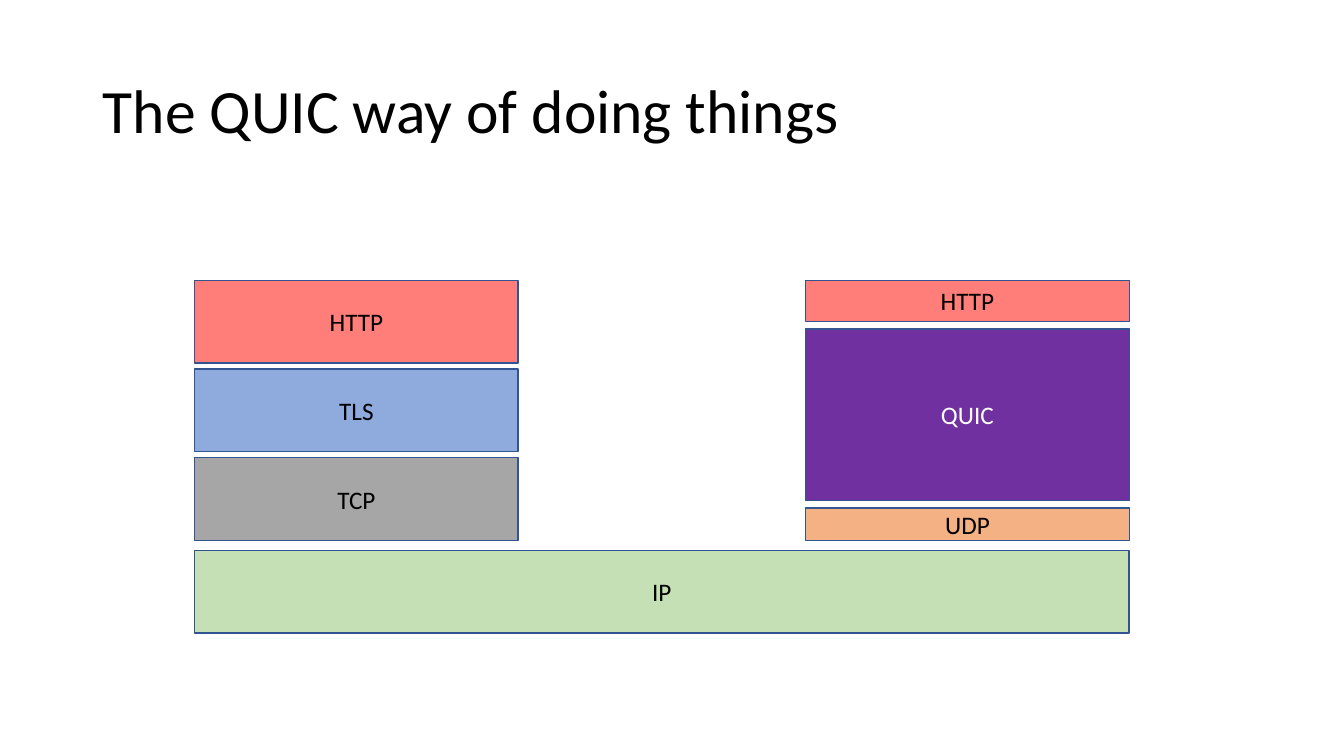
import dataclasses

import pptx
import pptx.dml.color
import pptx.enum.shapes
import pptx.enum.text
import pptx.util

TITLE = "The QUIC way of doing things"

# Each stack from top to bottom: label, height in inches
CLASSIC_STACK = [("HTTP", 0.82), ("TLS", 0.82), ("TCP", 0.82)]
QUIC_STACK = [("HTTP", 0.41), ("QUIC", 1.7), ("UDP", 0.32)]
BASE_LAYER = ("IP", 0.82)


@dataclasses.dataclass(frozen=True)
class Theme:
    font: str = "Calibri"
    title_size: int = 44
    label_size: int = 18
    text: str = "000000"
    outline: str = "325491"
    fills: tuple = (("HTTP", "FF7E79"), ("TLS", "8FAADC"), ("TCP", "A6A6A6"),
                    ("QUIC", "7030A0"), ("UDP", "F4B183"), ("IP", "C5E0B4"))
    light_labels: tuple = ("QUIC",)


THEME = Theme()
FILLS = dict(THEME.fills)

# Layout in inches
PAGE_WIDTH, PAGE_HEIGHT = 13.33, 7.5
LEFT, RIGHT = 1.93, 11.2
STACK_WIDTH = 3.21
STACK_TOP, STACK_BOTTOM = 2.78, 5.36
BASE_TOP = 5.46


def color(value):
    return pptx.dml.color.RGBColor.from_string(value)


def style(para, size, ink):
    para.font.name = THEME.font
    para.font.size = pptx.util.Pt(size)
    para.font.color.rgb = color(ink)


def add_layer(page, label, left, top, width, height):
    box = page.shapes.add_shape(
        pptx.enum.shapes.MSO_SHAPE.RECTANGLE,
        *map(pptx.util.Inches, (left, top, width, height)))
    box.shadow.inherit = False
    box.fill.solid()
    box.fill.fore_color.rgb = color(FILLS[label])
    box.line.color.rgb = color(THEME.outline)
    box.line.width = pptx.util.Pt(1)
    box.text_frame.text = label
    box.text_frame.vertical_anchor = pptx.enum.text.MSO_ANCHOR.MIDDLE
    para = box.text_frame.paragraphs[0]
    para.alignment = pptx.enum.text.PP_ALIGN.CENTER
    style(para, THEME.label_size,
          "FFFFFF" if label in THEME.light_labels else THEME.text)


def add_stack(page, layers, left):
    """Spread the layers evenly between the stack's top and bottom."""
    filled = sum(height for _, height in layers)
    gap = (STACK_BOTTOM - STACK_TOP - filled) / (len(layers) - 1)
    top = STACK_TOP
    for label, height in layers:
        add_layer(page, label, left, top, STACK_WIDTH, height)
        top += height + gap


def main():
    deck = pptx.Presentation()
    deck.slide_width = pptx.util.Inches(PAGE_WIDTH)
    deck.slide_height = pptx.util.Inches(PAGE_HEIGHT)
    page = deck.slides.add_slide(deck.slide_layouts.get_by_name("Title Only"))

    # Title
    title = page.shapes.title
    title.left, title.top, title.width, title.height = map(
        pptx.util.Inches, (0.92, 0.4, 11.5, 1.45))
    title.text_frame.text = TITLE
    title.text_frame.auto_size = pptx.enum.text.MSO_AUTO_SIZE.NONE
    title.text_frame.vertical_anchor = pptx.enum.text.MSO_ANCHOR.MIDDLE
    para = title.text_frame.paragraphs[0]
    para.alignment = pptx.enum.text.PP_ALIGN.LEFT
    para.line_spacing = 0.9
    style(para, THEME.title_size, THEME.text)

    # Shared base layer and the two stacks on it
    label, height = BASE_LAYER
    add_layer(page, label, LEFT, BASE_TOP, RIGHT - LEFT, height)
    add_stack(page, CLASSIC_STACK, LEFT)
    add_stack(page, QUIC_STACK, RIGHT - STACK_WIDTH)

    deck.save("out.pptx")


if __name__ == "__main__":
    main()
